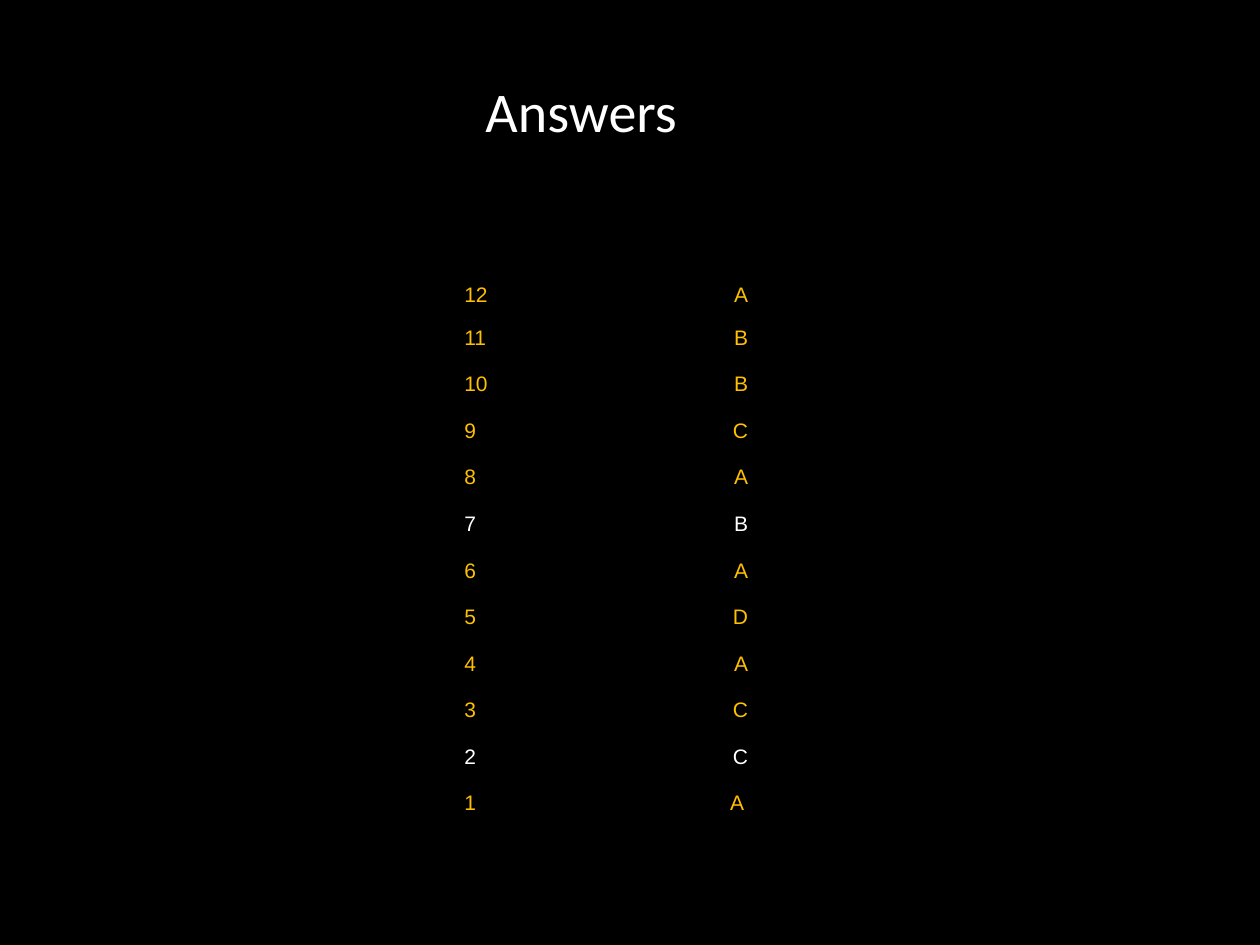
from lxml import etree
from pptx import Presentation
from pptx import util as u
from pptx.dml.color import RGBColor
from pptx.enum import shapes, text
from pptx.oxml import ns

Pt = u.Pt
BLACK = RGBColor(0x00, 0x00, 0x00)
WHITE = RGBColor(0xFF, 0xFF, 0xFF)
AMBER = RGBColor(0xFF, 0xC0, 0x00)

ANSWERS = "ABBCABADACCA"  # from question 12 down to question 1
WHITE_QUESTIONS = (2, 7)


class AnswerSlide:
    title_font = "Calibri"
    table_font = "Arial"

    def __init__(self, deck):
        self.deck = deck
        self.page = deck.slides.add_slide(deck.slide_layouts[6])

    def style(self, para, font, size, color):
        for span in para.runs:
            span.font.name = font
            span.font.size = Pt(size)
            span.font.color.rgb = color

    def backdrop(self, color):
        panel = self.page.shapes.add_shape(
            shapes.MSO_SHAPE.RECTANGLE, 0, 0,
            self.deck.slide_width, self.deck.slide_height)
        panel.shadow.inherit = False
        panel.fill.solid()
        panel.fill.fore_color.rgb = color
        panel.line.fill.background()

    def title(self, words, left, top, width, height):
        box = self.page.shapes.add_textbox(Pt(left), Pt(top), Pt(width), Pt(height))
        frame = box.text_frame
        frame.word_wrap = True
        frame.vertical_anchor = text.MSO_ANCHOR.MIDDLE
        frame.text = words
        para = frame.paragraphs[0]
        para.alignment = text.PP_ALIGN.CENTER
        self.style(para, self.title_font, 32, WHITE)

    def clear_borders(self, cell):
        """Switch off all four borders; they must come before the cell's fill."""
        properties = cell._tc.get_or_add_tcPr()
        for position, side in enumerate(("lnL", "lnR", "lnT", "lnB")):
            border = etree.Element(ns.qn("a:" + side), w="0")
            etree.SubElement(border, ns.qn("a:noFill"))
            properties.insert(position, border)

    def cell(self, cell, words, color, align, left=0, right=0):
        """Fill one table cell; left and right are paragraph indents."""
        cell.fill.solid()
        cell.fill.fore_color.rgb = BLACK
        self.clear_borders(cell)
        cell.margin_left = cell.margin_right = 0
        cell.margin_top = cell.margin_bottom = 0
        cell.text_frame.text = words
        para = cell.text_frame.paragraphs[0]
        para.alignment = align
        indents = para._p.get_or_add_pPr()
        indents.set("marL", str(Pt(left)))
        indents.set("marR", str(Pt(right)))
        self.style(para, self.table_font, 12, color)
        for span in para.runs:
            span.font._element.set("spc", "-10")

    def answer_table(self, left, top, widths, heights):
        count = len(ANSWERS)
        table = self.page.shapes.add_table(
            count, len(widths), Pt(left), Pt(top),
            Pt(sum(widths)), Pt(sum(heights))).table
        table.first_row = table.horz_banding = False
        for column, width in zip(table.columns, widths):
            column.width = Pt(width)
        for index, (answer, height) in enumerate(zip(ANSWERS, heights)):
            table.rows[index].height = Pt(height)
            question = count - index
            color = WHITE if question in WHITE_QUESTIONS else AMBER
            self.cell(table.cell(index, 0), str(question), color,
                      text.PP_ALIGN.LEFT, left=2.9)
            self.cell(table.cell(index, 1), answer, color,
                      text.PP_ALIGN.RIGHT, right=2.2 if question == 1 else 0)


def main():
    deck = Presentation()
    deck.slide_width, deck.slide_height = Pt(720), Pt(540)
    slide = AnswerSlide(deck)
    slide.backdrop(BLACK)
    slide.answer_table(262.5, 162, widths=(55.5, 109.5),
                       heights=[24.3] + [26.64] * 10 + [24.3])
    slide.title("Answers", 224.2, 12, 216, 102)
    deck.save("out.pptx")


if __name__ == "__main__":
    main()
